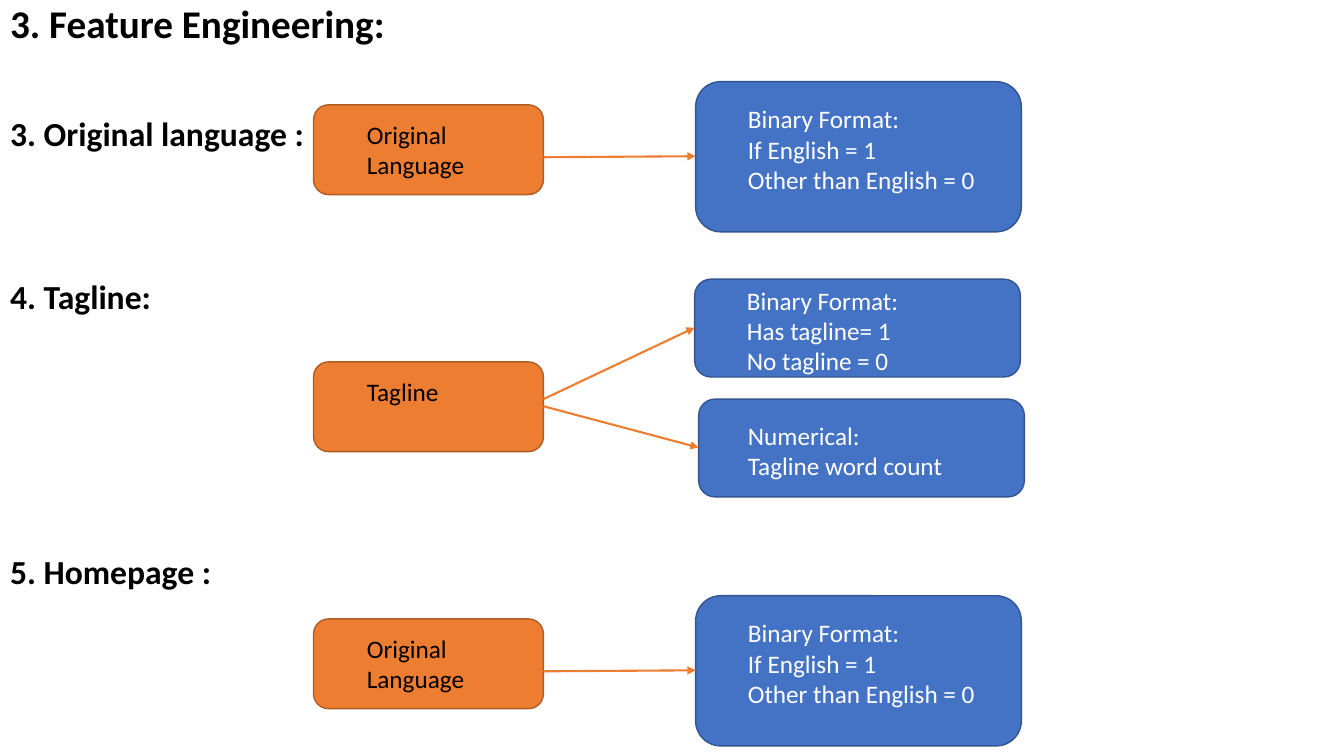
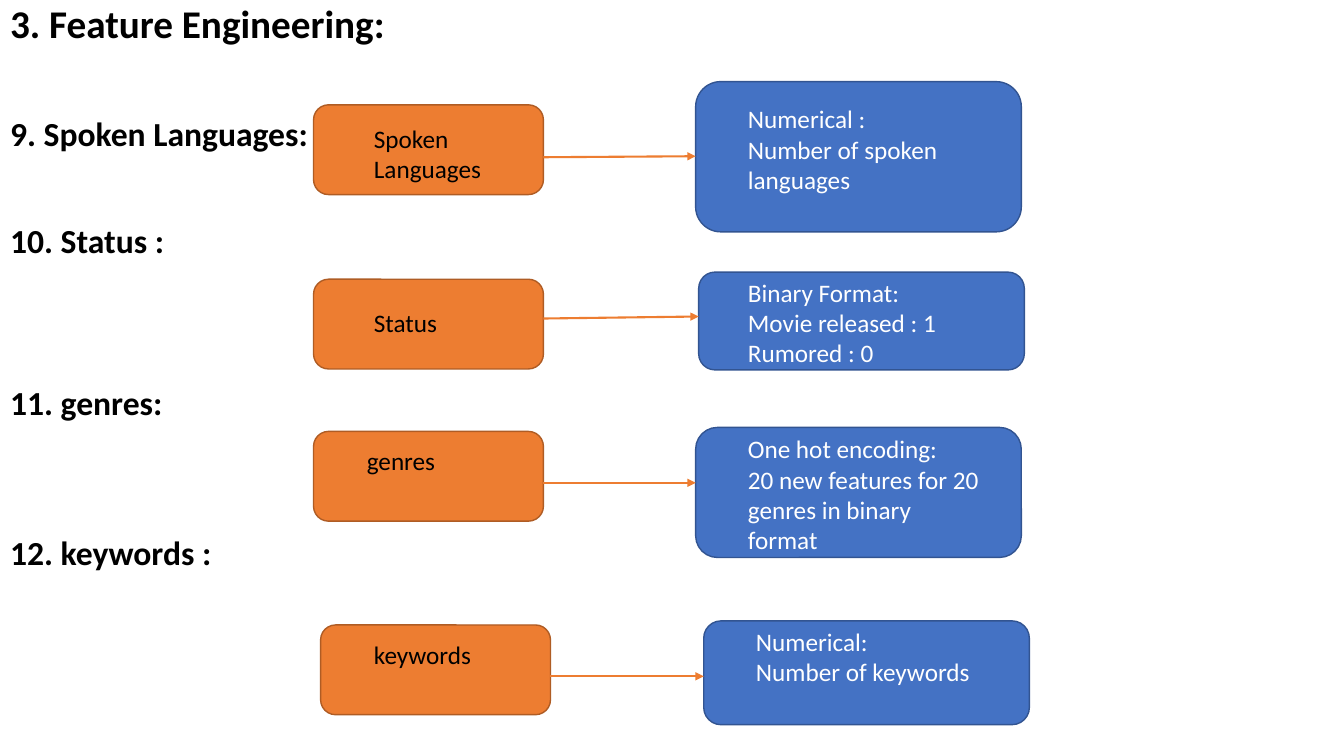
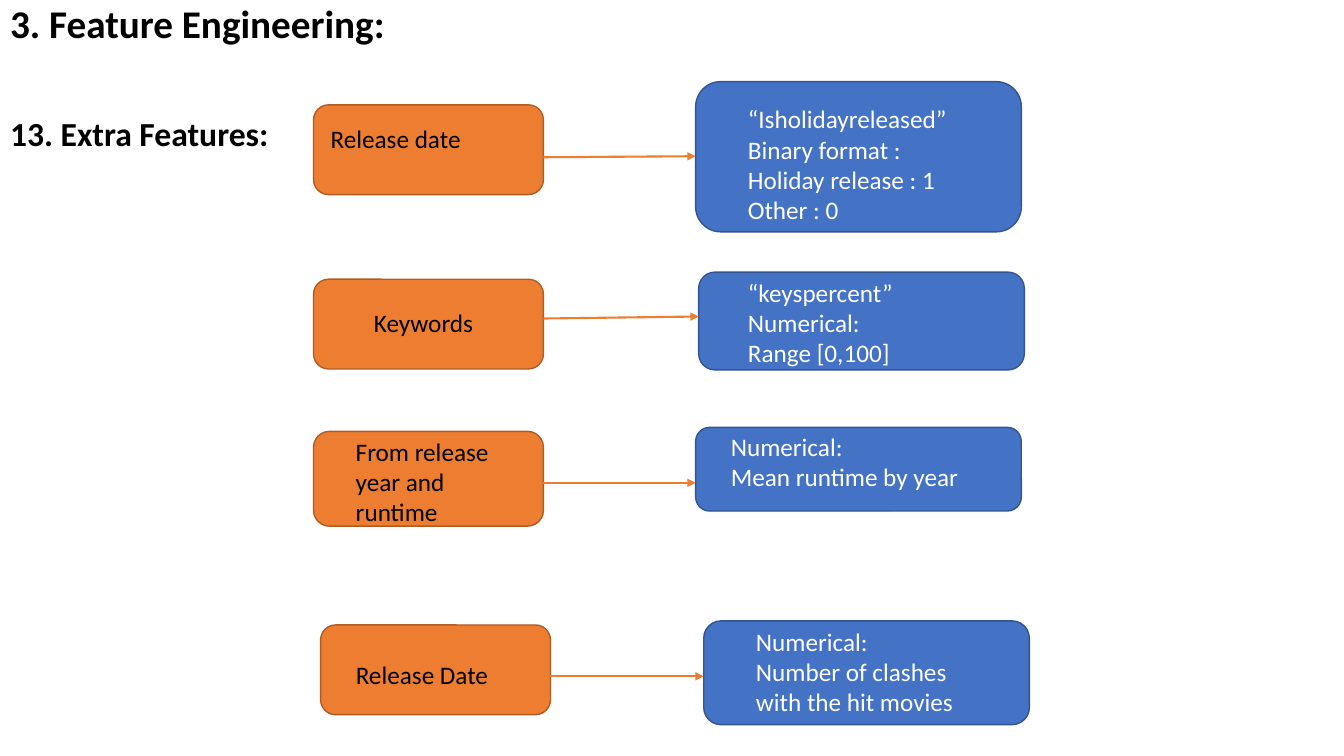
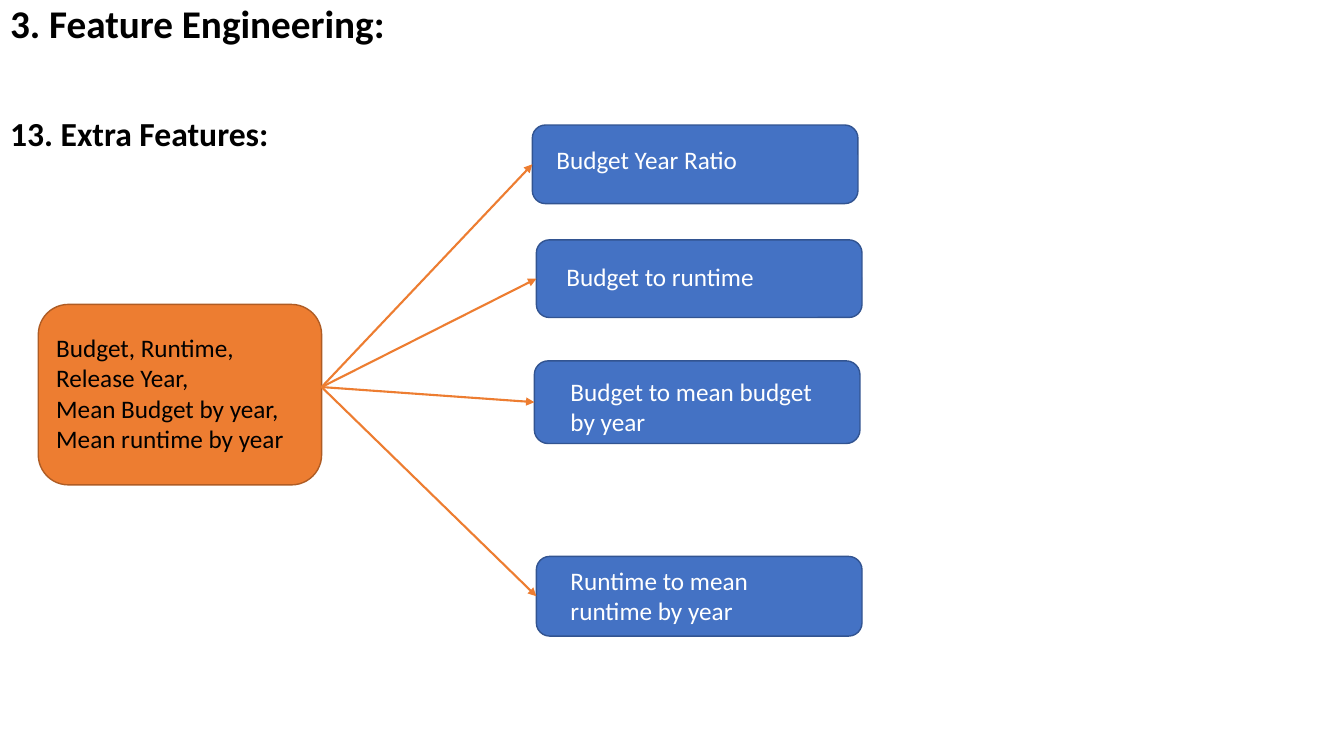
from dataclasses import dataclass

from lxml import etree
from pptx import Presentation
from pptx.dml.color import RGBColor
from pptx.enum.shapes import MSO_CONNECTOR as CONNECTOR, MSO_SHAPE as SHAPE
from pptx.enum.text import MSO_ANCHOR as ANCHOR, MSO_AUTO_SIZE as AUTO_SIZE, PP_ALIGN as ALIGN
from pptx.oxml.ns import qn
from pptx.util import Inches, Pt

SLIDE_W, SLIDE_H = 13.33, 7.5
FONT = "Calibri"
COLORS = {
    "text": "000000", "light": "FFFFFF", "arrow": "ED7D31",
    "source": "ED7D31", "source_edge": "AF5C24",
    "result": "4472C4", "result_edge": "325491",
}
TITLE = "3. Feature Engineering:"
TITLE_AREA = (0, 0, SLIDE_W, 0.6)
HEADING_AREA = (0, 1.12, 3.2, 6.2)
SOURCE_X, SOURCE_W, SOURCE_H = 3.11, 2.28, 0.89
RESULT_X, RESULT_W = 6.9, 3.23
# Share of a rounded box's shorter side that its corners take from the text area
CORNER_INSET = 0.05


@dataclass
class Box:
    """A rounded box; dx and dy lead from its top left corner to its text."""
    lines: list
    y: float
    dx: float
    dy: float
    x: float
    w: float
    h: float
    kind: str
    text_color: str
    right_gap: float


def source(lines, y, dx=0.53, dy=0.14, x=SOURCE_X, w=SOURCE_W, h=SOURCE_H):
    return Box(lines, y, dx, dy, x, w, h, "source", "text", 0.2)


def result(lines, y, h, dx=0.52, dy=0.03, x=RESULT_X):
    return Box(lines, y, dx, dy, x, RESULT_W, h, "result", "light", 0.38)


def color(name):
    return RGBColor.from_string(COLORS[name])


def add_run(p, text, size, color_name="text", bold=False):
    r = p.add_run()
    r.text = text
    r.font.name, r.font.size, r.font.bold = FONT, Pt(size), bold
    r.font.color.rgb = color(color_name)


def add_paragraph(tf, index):
    p = tf.paragraphs[0] if index == 0 else tf.add_paragraph()
    p.alignment = ALIGN.LEFT
    return p


def place(sp, area):
    sp.left, sp.top, sp.width, sp.height = map(Inches, area)


def fill_placeholder(sp, entries, size):
    """Write bold lines, each given as (text, points of space before)."""
    tf = sp.text_frame
    tf.auto_size, tf.vertical_anchor = AUTO_SIZE.NONE, ANCHOR.TOP
    tf.margin_right = 0
    for i, (text, gap) in enumerate(entries):
        p = add_paragraph(tf, i)
        p.line_spacing, p.space_before = 0.9, Pt(gap)
        pPr = p._p.get_or_add_pPr()
        pPr.set("marL", "0")
        pPr.set("indent", "0")
        etree.SubElement(pPr, qn("a:buNone"))
        add_run(p, text, size, bold=True)


def add_box(slide, box):
    sp = slide.shapes.add_shape(
        SHAPE.ROUNDED_RECTANGLE, *map(Inches, (box.x, box.y, box.w, box.h)))
    sp.shadow.inherit = False
    sp.fill.solid()
    sp.fill.fore_color.rgb = color(box.kind)
    sp.line.color.rgb = color(box.kind + "_edge")
    sp.line.width = Pt(1)
    tf = sp.text_frame
    tf.word_wrap, tf.vertical_anchor = True, ANCHOR.TOP
    inset = CORNER_INSET * min(box.w, box.h)
    tf.margin_left = Inches(max(0, box.dx - inset))
    tf.margin_top = Inches(max(0, box.dy - inset))
    tf.margin_right = Inches(max(0, box.right_gap - inset))
    tf.margin_bottom = 0
    for i, line in enumerate(box.lines):
        add_run(add_paragraph(tf, i), line, 18, box.text_color)


def add_arrow(slide, start, end):
    line = slide.shapes.add_connector(CONNECTOR.STRAIGHT, *map(Inches, (*start, *end)))
    line.line.color.rgb = color("arrow")
    line.line.width = Pt(1.5)
    etree.SubElement(line.line._get_or_add_ln(), qn("a:tailEnd"), type="triangle")
    etree.SubElement(line._element.spPr, qn("a:effectLst"))


def add_flow(slide, origin, *branches):
    """Draw a source box and its results, each with its arrow's two heights."""
    add_box(slide, origin)
    for target, y1, y2 in branches:
        add_box(slide, target)
        add_arrow(slide, (origin.x + origin.w, y1), (target.x, y2))


def add_feature_slide(prs, headings, flows):
    slide = prs.slides.add_slide(prs.slide_layouts[1])
    fill_placeholder(slide.shapes.title, [(TITLE, 0)], 28)
    fill_placeholder(slide.placeholders[1], headings, 24)
    for flow in flows:
        add_flow(slide, *flow)


def language_flow(top):
    return (source(["Original Language"], top + 0.23),
            (result(["Binary Format:", "If English = 1", "Other than English = 0"],
                    top, 1.49, dy=0.22), top + 0.75, top + 0.74))


def main():
    prs = Presentation()
    prs.slide_width, prs.slide_height = Inches(SLIDE_W), Inches(SLIDE_H)
    layout = prs.slide_layouts[1]
    place(layout.placeholders[0], TITLE_AREA)
    place(layout.placeholders[1], HEADING_AREA)

    add_feature_slide(
        prs, [("3. Original language :", 0), ("4. Tagline:", 90), ("5. Homepage :", 171)],
        [language_flow(0.81),
         (source(["Tagline"], 3.59),
          (result(["Binary Format:", "Has tagline= 1", "No tagline = 0"],
                  2.77, 0.97, dy=0.06, x=6.89), 3.96, 3.25),
          (result(["Numerical:", "Tagline word count"],
                  3.96, 0.97, dx=0.49, dy=0.21, x=6.93), 4.03, 4.44)),
         language_flow(5.91)])

    add_feature_slide(
        prs, [("9. Spoken Languages:", 0), ("10. Status :", 50),
              ("11. genres:", 90), ("12. keywords :", 81.5)],
        [(source(["Spoken Languages"], 1.04, dx=0.6, dy=0.18),
          (result(["Numerical :", "Number of spoken languages"],
                  0.81, 1.49, dy=0.22), 1.56, 1.55)),
         (source(["Status"], 2.77, dx=0.6, dy=0.28),
          (result(["Binary Format:", "Movie released : 1", "Rumored : 0"],
                  2.7, 0.97, dx=0.49, x=6.93), 3.16, 3.14)),
         (source(["genres"], 4.28),
          (result(["One hot encoding:", "20 new features for 20 genres in binary format"],
                  4.24, 1.29), 4.79, 4.79)),
         (source(["keywords"], 6.2, x=3.18),
          (result(["Numerical:", "Number of keywords"], 6.16, 1.03, x=6.98), 6.71, 6.71))])

    extra = [("13. Extra Features:", 0)]
    add_feature_slide(
        prs, extra,
        [(source(["Release date"], 1.04, dx=0.17, dy=0.18),
          (result(["“Isholidayreleased”", "Binary format :", "Holiday release : 1", "Other : 0"],
                  0.81, 1.49, dy=0.22), 1.56, 1.55)),
         (source(["Keywords"], 2.77, dx=0.6, dy=0.28),
          (result(["“keyspercent”", "Numerical:", "Range [0,100]"],
                  2.7, 0.97, dx=0.49, x=6.93), 3.16, 3.14)),
         (source(["From release year and runtime"], 4.28, dx=0.42, dy=0, h=0.94),
          (result(["Numerical:", "Mean runtime by year"], 4.24, 0.83, dx=0.35), 4.79, 4.79)),
         (source(["Release Date"], 6.2, dx=0.35, dy=0.34, x=3.18),
          (result(["Numerical:", "Number of clashes with the hit movies"],
                  6.16, 1.03, x=6.98), 6.71, 6.71))])

    ratios = [
        result(["Budget Year Ratio"], 1.24, 0.78, dx=0.24, dy=0.19, x=5.28),
        result(["Budget to runtime"], 2.38, 0.77, dx=0.3, dy=0.21, x=5.32),
        result(["Budget to mean budget by year"], 3.58, 0.82, dx=0.36, dy=0.15, x=5.3),
        result(["Runtime to mean runtime by year"], 5.52, 0.79, dx=0.34, dy=0.09, x=5.32),
    ]
    inputs = source(["Budget, Runtime,", "Release Year,", "Mean Budget by year,",
                     "Mean runtime by year"], 3.02, dx=0.18, dy=0.28, x=0.38, w=2.81, h=1.79)
    add_feature_slide(
        prs, extra, [(inputs, *((box, 3.84, box.y + box.h / 2) for box in ratios))])

    prs.save("out.pptx")


if __name__ == "__main__":
    main()
